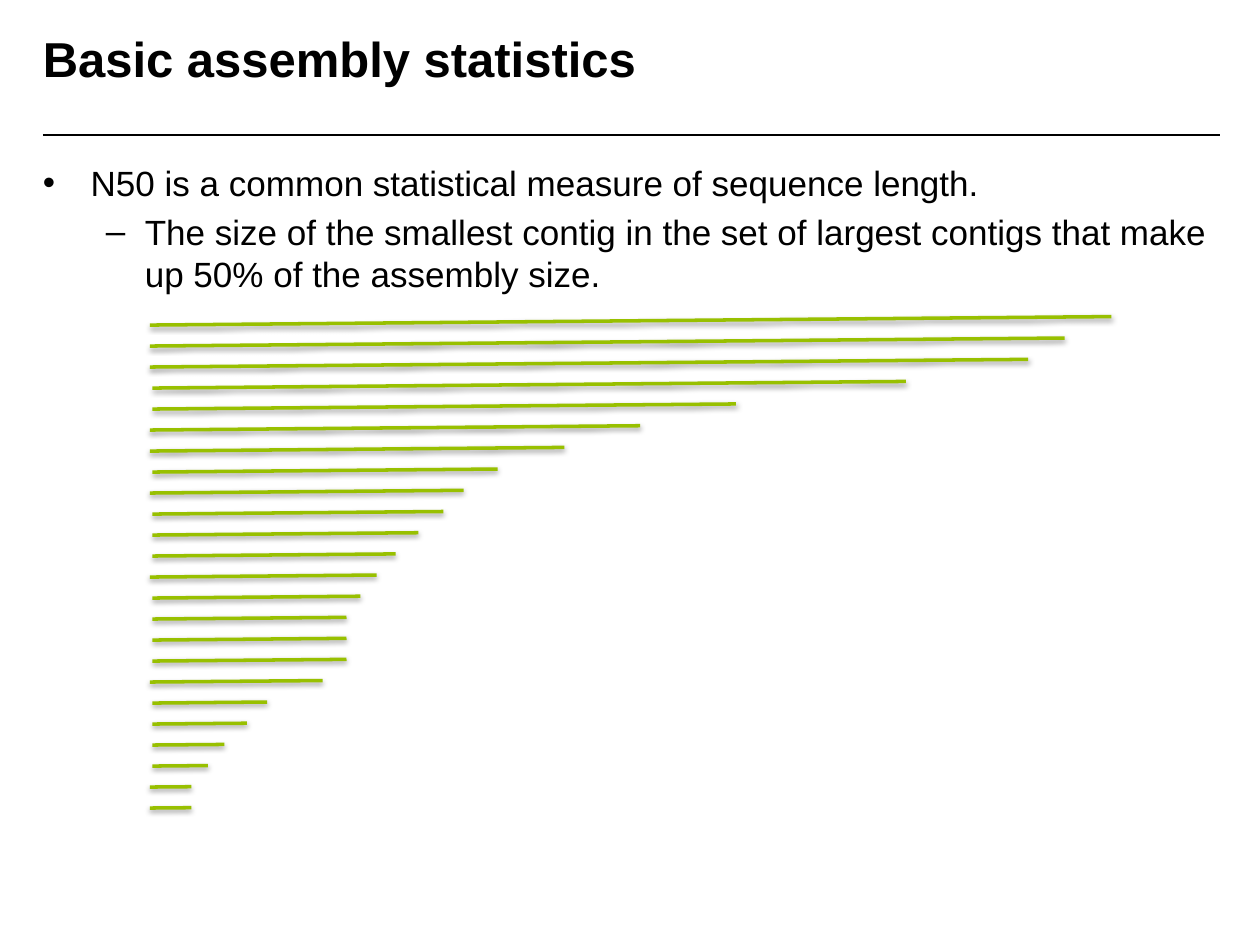
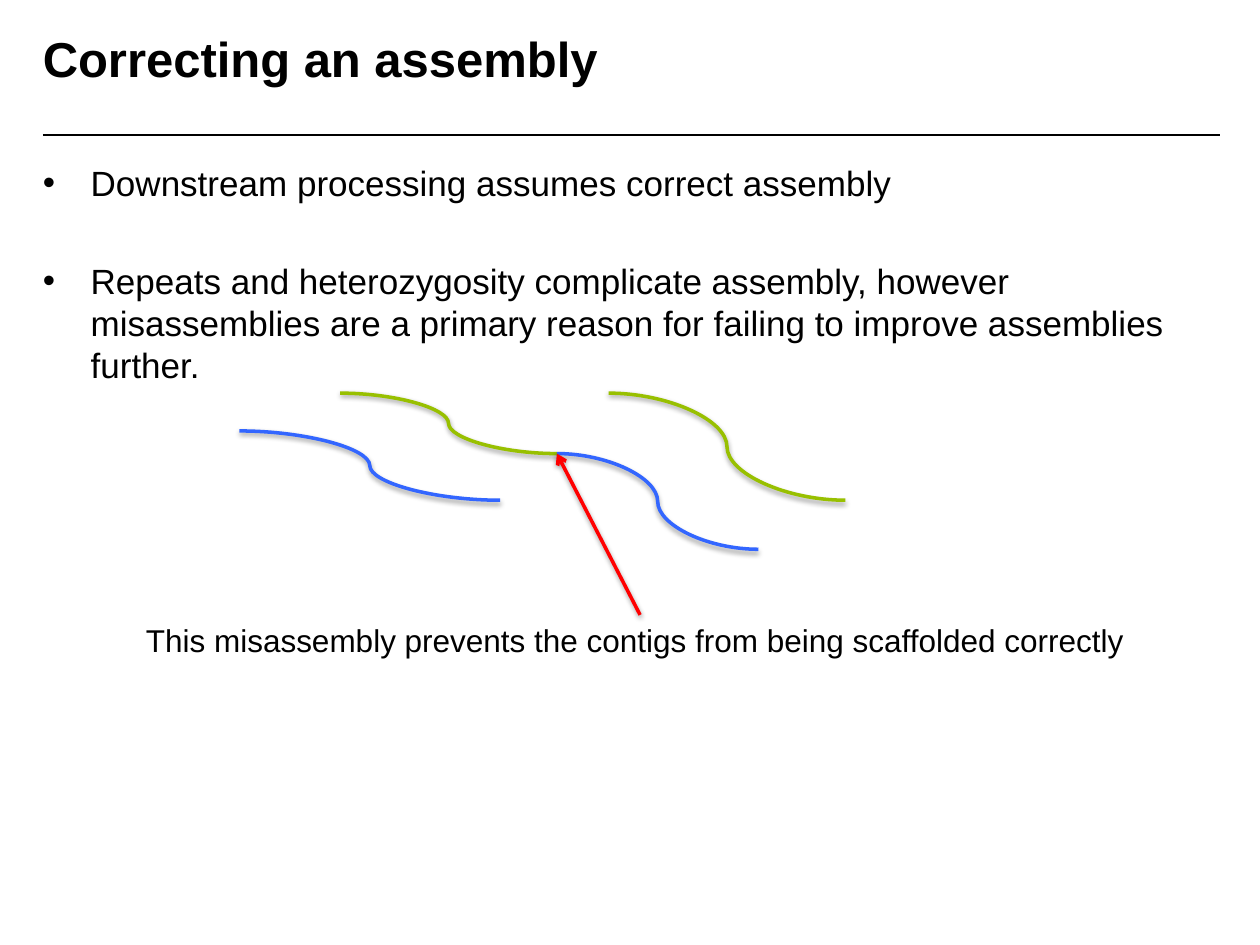
from lxml import etree
from pptx import Presentation
from pptx.dml.color import RGBColor
from pptx.enum.shapes import MSO_CONNECTOR
from pptx.oxml.ns import qn
from pptx.util import Inches, Pt

BLACK, GREEN, BLUE, RED = "000000", "98C000", "3366FF", "FF0000"
FONT = "Arial"
TITLE_BOX = (0.34, 0.23, 9.34, 0.69)
BODY_BOX = (0.34, 1.28, 9.34, 5.42)
# bullet character, left margin and hanging indent of each level
LEVELS = [("•", 0.38, 0.38), ("–", 0.81, 0.31)]

# left and right end of each contig, longest first
CONTIGS = [
    (1.19, 8.82), (1.19, 8.45), (1.19, 8.16), (1.21, 7.19), (1.21, 5.84), (1.19, 5.08),
    (1.19, 4.48), (1.21, 3.95), (1.19, 3.68), (1.21, 3.52), (1.21, 3.32), (1.21, 3.14),
    (1.19, 2.99), (1.21, 2.86), (1.21, 2.75), (1.21, 2.75), (1.21, 2.75), (1.19, 2.56),
    (1.21, 2.12), (1.21, 1.96), (1.21, 1.78), (1.21, 1.65), (1.19, 1.52), (1.19, 1.52),
]
CONTIG_PITCH = 1 / 6
CONTIG_SLOPE = 0.0088


def color(value):
    return RGBColor.from_string(value)


def style_font(paragraph, size, bold=False):
    paragraph.font.name = FONT
    paragraph.font.size = Pt(size)
    paragraph.font.bold = bold
    paragraph.font.color.rgb = color(BLACK)


def add_text_box(slide, box, margin=None, wrap=True):
    frame = slide.shapes.add_textbox(*map(Inches, box)).text_frame
    frame.word_wrap = wrap
    if margin is not None:
        frame.margin_left = frame.margin_right = Inches(margin)
        frame.margin_top = frame.margin_bottom = Inches(margin)
    return frame


def add_line(shapes, start, end, line_color, width=2, kind=MSO_CONNECTOR.STRAIGHT,
             shadow=True, arrow=False):
    connector = shapes.add_connector(kind, *map(Inches, (*start, *end)))
    connector.line.color.rgb = color(line_color)
    connector.line.width = Pt(width)
    if arrow:
        etree.SubElement(connector.line._get_or_add_ln(), qn("a:tailEnd"), type="arrow")
    effects = etree.SubElement(connector._element.spPr, qn("a:effectLst"))
    if shadow:
        outer = etree.SubElement(effects, qn("a:outerShdw"), blurRad=str(Pt(3.1)),
                                 dist=str(Pt(1.6)), dir="5400000", rotWithShape="0")
        shade = etree.SubElement(outer, qn("a:srgbClr"), val=BLACK)
        etree.SubElement(shade, qn("a:alpha"), val="38000")


def add_bullet(paragraph, level):
    character, margin, hanging = LEVELS[level]
    properties = paragraph._p.get_or_add_pPr()
    properties.set("marL", str(Inches(margin)))
    properties.set("indent", str(-Inches(hanging)))
    etree.SubElement(properties, qn("a:buFont"), typeface=FONT)
    etree.SubElement(properties, qn("a:buChar"), char=character)


def add_content_slide(presentation, title, points):
    """Add a titled slide; points are (level, space before, text)."""
    slide = presentation.slides.add_slide(presentation.slide_layouts[6])
    add_line(slide.shapes, (0.34, 1.07), (9.68, 1.07), BLACK, width=1, shadow=False)
    heading = add_text_box(slide, TITLE_BOX, margin=0).paragraphs[0]
    heading.text = title
    style_font(heading, 28, bold=True)

    body = add_text_box(slide, BODY_BOX, margin=0)
    for index, (level, space_before, text) in enumerate(points):
        paragraph = body.add_paragraph() if index else body.paragraphs[0]
        paragraph.text = text
        paragraph.level = level
        paragraph.line_spacing = Pt(24)
        paragraph.space_before = Pt(space_before)
        add_bullet(paragraph, level)
        style_font(paragraph, 20)
    return slide


def add_contig_ladder(slide, top):
    group = slide.shapes.add_group_shape()
    for index, (left, right) in enumerate(CONTIGS):
        y = top + index * CONTIG_PITCH
        rise = (right - left) * CONTIG_SLOPE
        add_line(group.shapes, (left, y), (right, y - rise), GREEN)


def add_misassembly(slide, left, top):
    """Draw the contigs and the arrow to their false join."""
    def place(x, y):
        return left + x, top + y

    join = place(2.52, 0.48)
    for start, end, line_color in [
        (place(2.93, 0), place(4.81, 0.85), GREEN),
        (place(0.8, 0), join, GREEN),
        (join, place(4.12, 1.24), BLUE),
        (place(0, 0.3), place(2.07, 0.85), BLUE),
    ]:
        add_line(slide.shapes, start, end, line_color, kind=MSO_CONNECTOR.CURVE)

    caption_box = (*place(-0.84, 1.76), 8.04, 0.4)
    caption = add_text_box(slide, caption_box, wrap=False).paragraphs[0]
    caption.text = "This misassembly prevents the contigs from being scaffolded correctly"
    style_font(caption, 18)
    add_line(slide.shapes, place(3.18, 1.76), join, RED, arrow=True)


def main():
    presentation = Presentation()
    presentation.slide_width, presentation.slide_height = Inches(10), Inches(7.5)

    statistics = add_content_slide(presentation, "Basic assembly statistics", [
        (0, 0, "N50 is a common statistical measure of sequence length."),
        (1, 4, "The size of the smallest contig in the set of largest contigs "
               "that make up 50% of the assembly size."),
    ])
    add_contig_ladder(statistics, top=2.58)

    correcting = add_content_slide(presentation, "Correcting an assembly", [
        (0, 0, "Downstream processing assumes correct assembly"),
        (0, 32, "Repeats and heterozygosity complicate assembly, however "
                "misassemblies are a primary reason for failing to improve "
                "assemblies further."),
    ])
    add_misassembly(correcting, left=1.9, top=3.12)

    presentation.save("out.pptx")


if __name__ == "__main__":
    main()
